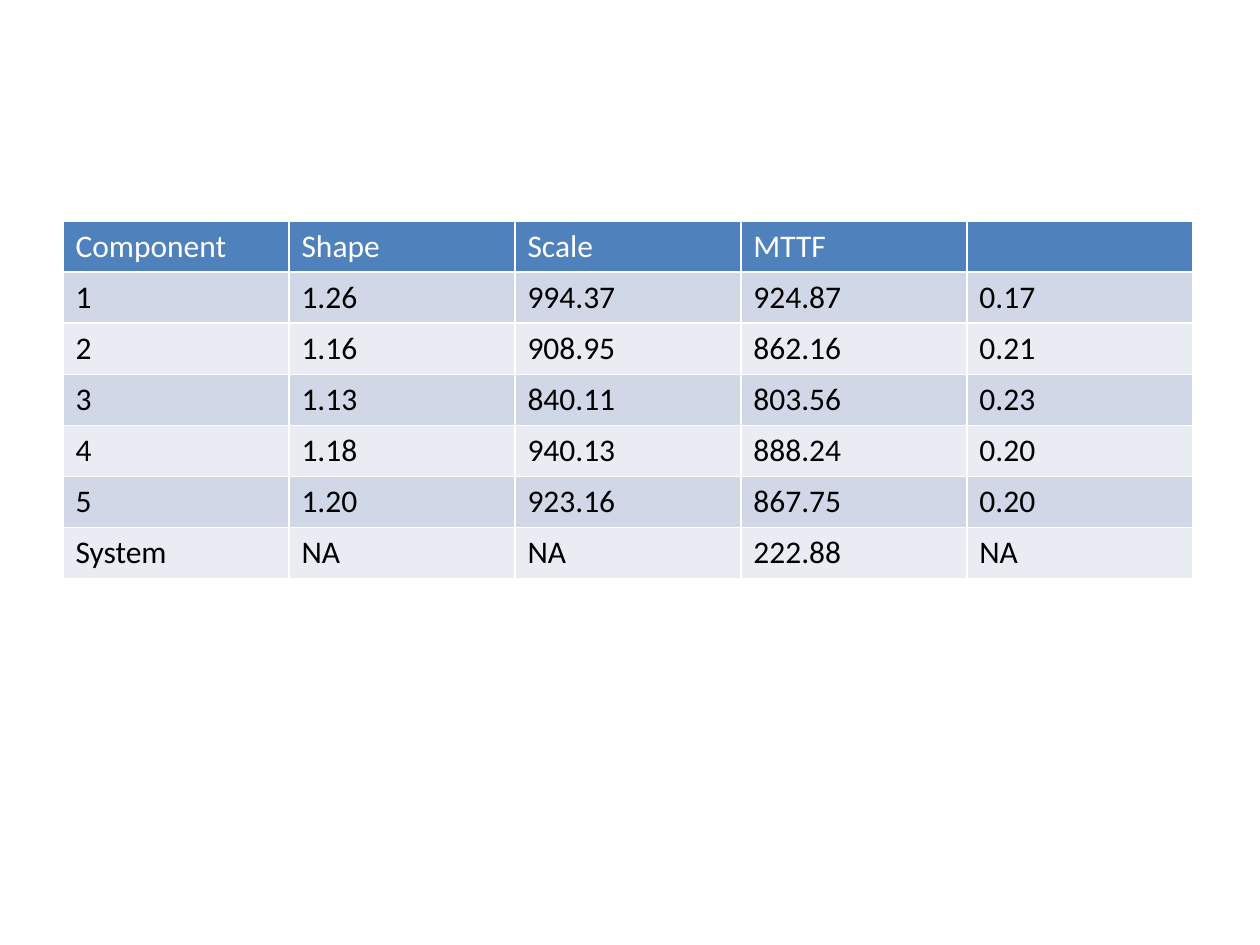
import pptx
import pptx.dml.color
import pptx.oxml
import pptx.oxml.ns
import pptx.util

EMU_PER_PIXEL = 914400 // 126
COLORS = {
    "header": "4F81BD",
    "odd_row": "D0D8E7",
    "even_row": "E9ECF3",
    "header_text": "FFFFFF",
    "body_text": "000000",
    "border": "FFFFFF",
}
RELIABILITY = [
    ["Component", "Shape", "Scale", "MTTF", ""],
    ["1", "1.26", "994.37", "924.87", "0.17"],
    ["2", "1.16", "908.95", "862.16", "0.21"],
    ["3", "1.13", "840.11", "803.56", "0.23"],
    ["4", "1.18", "940.13", "888.24", "0.20"],
    ["5", "1.20", "923.16", "867.75", "0.20"],
    ["System", "NA", "NA", "222.88", "NA"],
]
COLUMN_WIDTH = 226
ROW_HEIGHT = 51


def px(pixels):
    return pptx.util.Emu(pixels * EMU_PER_PIXEL)


def rgb(role):
    return pptx.dml.color.RGBColor.from_string(COLORS[role])


def add_borders(cell):
    properties = cell._tc.get_or_add_tcPr()
    for position, side in enumerate(("lnL", "lnR", "lnT", "lnB")):
        border = pptx.oxml.parse_xml(
            f'<a:{side} {pptx.oxml.ns.nsdecls("a")} w="{pptx.util.Pt(0.96)}">'
            f'<a:solidFill><a:srgbClr val="{COLORS["border"]}"/></a:solidFill>'
            f'</a:{side}>'
        )
        properties.insert(position, border)


def fill_cell(cell, text, fill_role, text_role):
    cell.fill.solid()
    cell.fill.fore_color.rgb = rgb(fill_role)
    add_borders(cell)
    paragraph = cell.text_frame.paragraphs[0]
    paragraph.font.size = pptx.util.Pt(18)
    if text:
        run = paragraph.add_run()
        run.text = text
        run.font.name = "Calibri"
        run.font.size = pptx.util.Pt(18)
        run.font.bold = False
        run.font.color.rgb = rgb(text_role)


def row_roles(row_index):
    if row_index == 0:
        return "header", "header_text"
    return ("odd_row" if row_index % 2 else "even_row"), "body_text"


def add_grid(slide, left, top, records):
    row_count, column_count = len(records), len(records[0])
    grid = slide.shapes.add_table(
        row_count, column_count, px(left), px(top),
        px(COLUMN_WIDTH * column_count), px(ROW_HEIGHT * row_count),
    ).table
    for column in grid.columns:
        column.width = px(COLUMN_WIDTH)
    for row_index, record in enumerate(records):
        grid.rows[row_index].height = px(ROW_HEIGHT)
        for column_index, text in enumerate(record):
            fill_cell(grid.cell(row_index, column_index), text, *row_roles(row_index))


def main():
    presentation = pptx.Presentation()
    presentation.slide_width = pptx.util.Inches(10)
    presentation.slide_height = pptx.util.Inches(7.5)
    slide = presentation.slides.add_slide(presentation.slide_layouts[6])
    add_grid(slide, 63, 221, RELIABILITY)
    presentation.save("out.pptx")


main()
